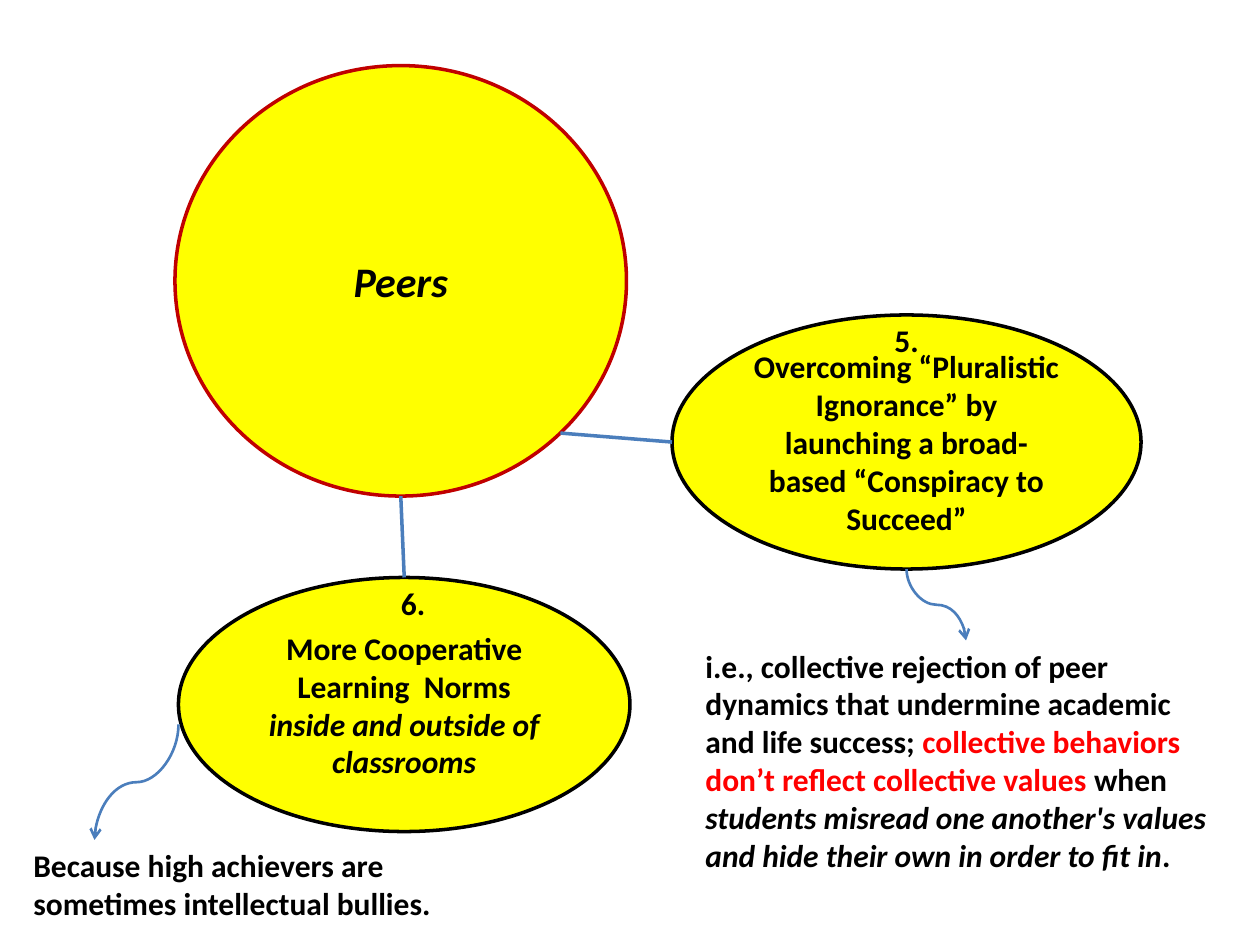
import math

from lxml import etree
from pptx import Presentation
from pptx import util as u
from pptx.dml.color import RGBColor
from pptx.enum import shapes, text
from pptx.oxml.ns import qn

# Grid: 120 columns by 90 rows of equal square cells
SLIDE_WIDTH, SLIDE_HEIGHT = u.Inches(10), u.Inches(7.5)
CELL = SLIDE_WIDTH / 120

BLACK = RGBColor(0x00, 0x00, 0x00)
RED = RGBColor(0xFF, 0x00, 0x00)
DARK_RED = RGBColor(0xC0, 0x00, 0x00)
YELLOW = RGBColor(0xFF, 0xFF, 0x00)
BLUE = RGBColor(0x4B, 0x7E, 0xBC)

# Ellipses as left, top, width, height in grid cells
PEERS = (16.67, 6.25, 43, 41)
OVERCOMING = (64, 30, 44.67, 24.2)
COOPERATIVE = (17, 55, 43, 24.2)


def grid(*cells):
    return [u.Emu(round(cell * CELL)) for cell in cells]


def rim_point(ellipse, degrees):
    """Point on an ellipse, measured clockwise from its right end."""
    left, top, width, height = ellipse
    angle = math.radians(degrees)
    return (left + width / 2 * (1 + math.cos(angle)),
            top + height / 2 * (1 + math.sin(angle)))


def write_runs(paragraph, runs, size=18):
    """Each run is (words, colour, italic)."""
    for words, color, italic in runs:
        run = paragraph.add_run()
        run.text = words
        run.font.name = "Calibri"
        run.font.size = u.Pt(size)
        run.font.bold = True
        run.font.italic = italic
        run.font.color.rgb = color


def add_ellipse(slide, box, line_color, runs, size=18):
    shape = slide.shapes.add_shape(shapes.MSO_SHAPE.OVAL, *grid(*box))
    shape.shadow.inherit = False
    shape.fill.solid()
    shape.fill.fore_color.rgb = YELLOW
    shape.line.color.rgb = line_color
    shape.line.width = u.Pt(2)
    frame = shape.text_frame
    frame.word_wrap = True
    frame.vertical_anchor = text.MSO_ANCHOR.MIDDLE
    frame.paragraphs[0].alignment = text.PP_ALIGN.CENTER
    write_runs(frame.paragraphs[0], runs, size)


def add_label(slide, box, paragraphs, wrap=True):
    frame = slide.shapes.add_textbox(*grid(*box)).text_frame
    frame.word_wrap = wrap
    frame.auto_size = text.MSO_AUTO_SIZE.SHAPE_TO_FIT_TEXT
    for index, runs in enumerate(paragraphs):
        paragraph = frame.add_paragraph() if index else frame.paragraphs[0]
        write_runs(paragraph, runs)


def add_line(slide, start, end, kind=shapes.MSO_CONNECTOR.STRAIGHT, width=2):
    connector = slide.shapes.add_connector(kind, *grid(*start, *end))
    connector.line.color.rgb = BLUE
    connector.line.width = u.Pt(width)
    etree.SubElement(connector._element.spPr, qn("a:effectLst"))
    return connector


def add_curved_arrow(slide, start, end):
    """S-curve that leaves and arrives vertically: a turned connector."""
    center_x, center_y = (start[0] + end[0]) / 2, (start[1] + end[1]) / 2
    half_width = (end[1] - start[1]) / 2
    half_height = abs(end[0] - start[0]) / 2
    rightward = end[0] > start[0]
    side = half_width if rightward else -half_width
    connector = add_line(slide, (center_x + side, center_y - half_height),
                         (center_x - side, center_y + half_height),
                         shapes.MSO_CONNECTOR.CURVE, 1.5)
    connector._element.spPr.xfrm.set("rot", str((270 if rightward else 90) * 60000))
    etree.SubElement(connector.line._get_or_add_ln(), qn("a:tailEnd"), type="arrow")


def main():
    presentation = Presentation()
    presentation.slide_width, presentation.slide_height = SLIDE_WIDTH, SLIDE_HEIGHT
    slide = presentation.slides.add_slide(presentation.slide_layouts[6])

    # Numbered ideas
    add_ellipse(slide, OVERCOMING, BLACK, [
        ("Overcoming “Pluralistic Ignorance” by launching a broad-based "
         "“Conspiracy to Succeed”", BLACK, False)])
    add_ellipse(slide, COOPERATIVE, BLACK, [
        ("More Cooperative Learning  Norms ", BLACK, False),
        ("inside and outside of classrooms", BLACK, True)])
    for number, left, top in (("5.", 84, 30), ("6.", 37, 55)):
        add_label(slide, (left, top, 7.8, 4.8), [[(number, BLACK, False)]])

    # Central theme and its links
    add_ellipse(slide, PEERS, DARK_RED, [("Peers", BLACK, True)], size=24)
    add_line(slide, rim_point(PEERS, 45), rim_point(OVERCOMING, 180))
    add_line(slide, rim_point(PEERS, 90), rim_point(COOPERATIVE, 270))

    # Explanations with curved arrows
    add_label(slide, (66, 61, 52, 23), [[
        ("i.e., collective rejection of peer dynamics that undermine academic "
         "and life success; ", BLACK, False),
        ("collective behaviors don’t reflect collective values ", RED, False),
        ("when ", BLACK, False),
        ("students misread one another's values and hide their own in order "
         "to fit in", BLACK, True),
        (".", BLACK, False)]])
    add_curved_arrow(slide, rim_point(OVERCOMING, 90), (92, 61))
    add_label(slide, (2, 80, 40.6, 8.5), [
        [("Because high achievers are", BLACK, False)],
        [("sometimes intellectual bullies.", BLACK, False)]], wrap=False)
    add_curved_arrow(slide, (17, 69), (9, 80))

    presentation.save("out.pptx")


if __name__ == "__main__":
    main()
